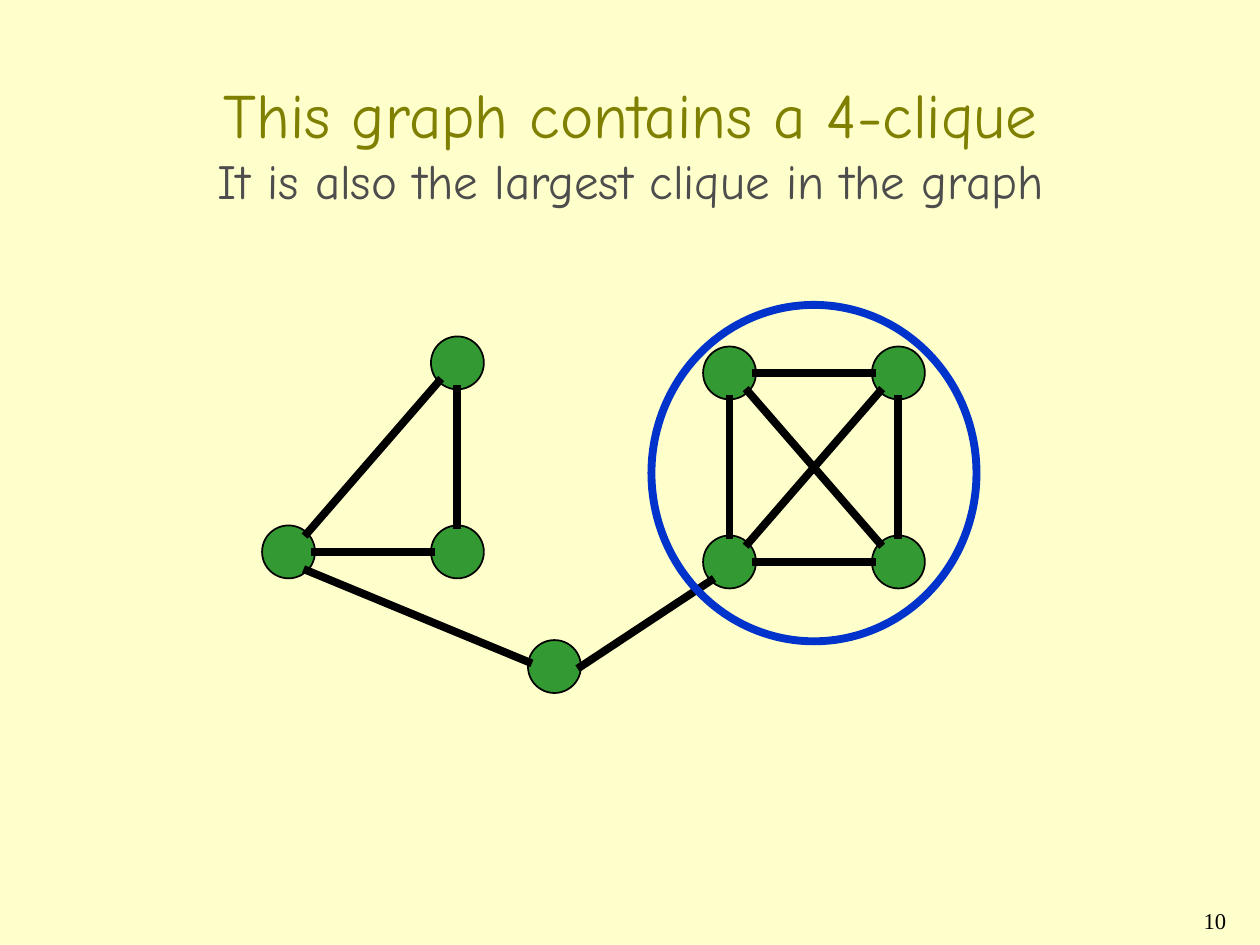
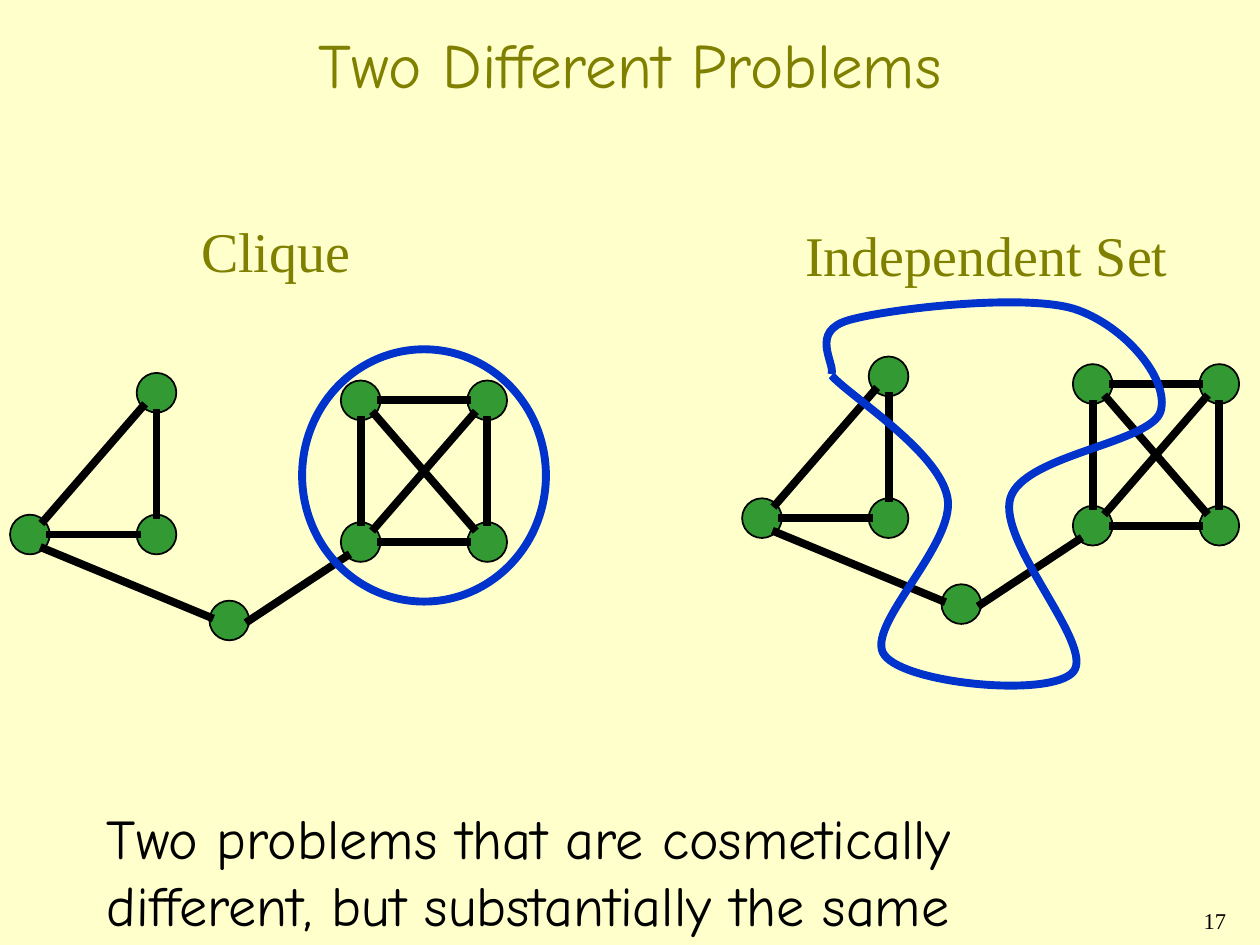
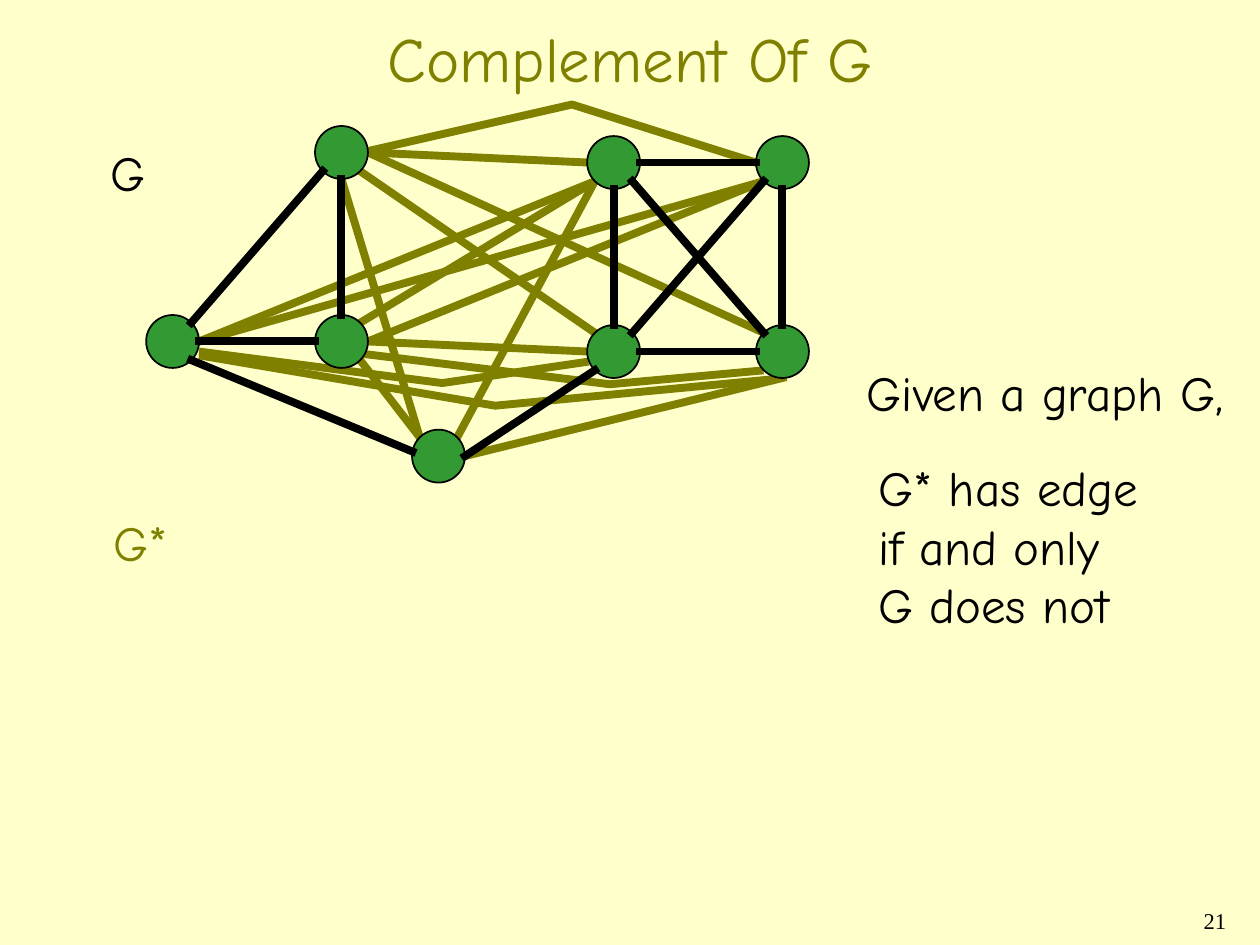
"""Build three slides on cliques, independent sets and graph complements."""
from dataclasses import dataclass
from math import cos, radians, sin
from typing import Any, NamedTuple

from lxml import etree
from pptx import Presentation
from pptx.dml.color import RGBColor
from pptx.enum.shapes import MSO_CONNECTOR, MSO_SHAPE
from pptx.enum.text import MSO_ANCHOR, MSO_AUTO_SIZE, PP_ALIGN
from pptx.oxml.ns import qn
from pptx.util import Inches, Pt

OVAL = MSO_SHAPE.OVAL
STRAIGHT = MSO_CONNECTOR.STRAIGHT
MIDDLE = MSO_ANCHOR.MIDDLE
FIT, FIXED = MSO_AUTO_SIZE.SHAPE_TO_FIT_TEXT, MSO_AUTO_SIZE.NONE
LEFT, CENTER, RIGHT = PP_ALIGN.LEFT, PP_ALIGN.CENTER, PP_ALIGN.RIGHT

COMIC, TIMES = "Comic Neue", "Times New Roman"
CREAM, OLIVE, GRAY = "FFFFCC", "808000", "4D4D4D"
BLACK, GREEN, BLUE = "000000", "339933", "0033CC"
THICK, THIN = 4.5, 1
SIZE = 0.42

Point = tuple[float, float]
Box = tuple[float, float, float, float]


class Span(NamedTuple):
    words: str
    size: float = 28
    color: str = BLACK
    font: str = COMIC


class Edge(NamedTuple):
    start: str
    out: float
    end: str
    into: float


@dataclass(frozen=True)
class Note:
    box: Box
    lines: tuple[tuple[Span, ...], ...]
    align: Any = LEFT
    pad: float = 0.1
    wrap: bool = True
    grow: bool = True
    before: float = 0
    space: float = 1


NODES: dict[str, Point] = {
    "nw": (3.5, 0.08), "sw": (3.5, 1.58), "se": (4.84, 1.58), "ne": (4.84, 0.08),
    "hub": (2.11, 2.41), "west": (0, 1.5), "mid": (1.34, 1.5), "tip": (1.34, 0),
}
EDGES = [
    Edge("nw", 0, "ne", 180), Edge("nw", 90, "sw", 270),
    Edge("ne", 90, "se", 270), Edge("sw", 0, "se", 180),
    Edge("ne", 135, "sw", 315), Edge("nw", 45, "se", 225),
    Edge("hub", 190, "west", 45), Edge("tip", 90, "mid", 270),
    Edge("west", 0, "mid", 180), Edge("tip", 135, "west", 315),
    Edge("hub", 0, "sw", 135),
]
MISSING = [
    Edge("mid", 0, "sw", 180), Edge("tip", 0, "nw", 180),
    Edge("hub", 315, "nw", 135), Edge("mid", 315, "nw", 135),
    Edge("west", 0, "nw", 135), Edge("tip", 45, "sw", 225),
    Edge("tip", 90, "hub", 225), Edge("mid", 0, "ne", 135),
    Edge("mid", 45, "hub", 225), Edge("west", 0, "ne", 135),
    Edge("tip", 0, "se", 225), Edge("hub", 0, "se", 90),
]
BENDS: list[list[Point]] = [
    [(2.92, 1.2), (4.54, 0.83), (6.03, 1.3)],
    [(1.58, 2.79), (3.51, 3.04), (4.67, 2.87)],
    [(1.58, 2.82), (3.93, 3.22), (6.14, 3.01)],
    [(2.89, 2.81), (4.84, 3.05), (6.06, 2.94)],
]
LASSO: list[Point] = [
    (6.6, 2.98),
    (6.75, 3.15), (7.45, 3.58), (7.52, 3.95),
    (7.59, 4.32), (6.85, 4.98), (7.02, 5.2),
    (7.19, 5.43), (8.35, 5.54), (8.52, 5.33),
    (8.69, 5.12), (7.91, 4.3), (8.02, 3.95),
    (8.13, 3.61), (9.12, 3.52), (9.21, 3.27),
    (9.29, 3.02), (8.93, 2.58), (8.52, 2.45),
    (8.11, 2.33), (7.06, 2.45), (6.74, 2.54),
    (6.42, 2.63), (6.63, 2.88), (6.6, 2.97),
]


def paint(part: Any, color: str) -> None:
    part.solid()
    part.fore_color.rgb = RGBColor.from_string(color)


def stroke(shape: Any, color: str, width: float) -> None:
    paint(shape.line.fill, color)
    shape.line.width = Pt(width)


def write(para: Any, spans: tuple[Span, ...]) -> None:
    for span in spans:
        for row, words in enumerate(span.words.split("\n")):
            if row:
                para.add_line_break()
            if words:
                run = para.add_run()
                run.text = words
                run.font.size = Pt(span.size)
                run.font.name = span.font
                run.font.color.rgb = RGBColor.from_string(span.color)


def add_note(shapes: Any, note: Note) -> None:
    frame = shapes.add_textbox(*map(Inches, note.box)).text_frame
    frame.margin_left = frame.margin_right = Inches(note.pad)
    frame.word_wrap = note.wrap
    frame.auto_size = FIT if note.grow else FIXED
    for row, spans in enumerate(note.lines):
        para = frame.add_paragraph() if row else frame.paragraphs[0]
        para.alignment = note.align
        para.space_before = Pt(note.before)
        para.line_spacing = note.space
        write(para, spans)


def add_oval(shapes: Any, box: Box, fill: str | None, line: str, width: float) -> None:
    oval = shapes.add_shape(OVAL, *map(Inches, box))
    oval.shadow.inherit = False
    if fill:
        paint(oval.fill, fill)
    else:
        oval.fill.background()
    stroke(oval, line, width)


def add_path(shapes: Any, points: list[Point], color: str) -> Any:
    spots = [(Inches(x), Inches(y)) for x, y in points]
    pen = shapes.build_freeform(*spots[0])
    pen.add_line_segments(spots[1:], close=False)
    shape = pen.convert_to_shape()
    shape.shadow.inherit = False
    shape.fill.background()
    stroke(shape, color, THICK)
    return shape


def add_curve(shapes: Any, points: list[Point], color: str) -> None:
    shape = add_path(shapes, points, color)
    path = next(shape.element.iter(qn("a:path")))
    legs = path.findall(qn("a:lnTo"))
    for i in range(0, len(legs), 3):
        curve = etree.SubElement(path, qn("a:cubicBezTo"))
        for leg in legs[i:i + 3]:
            curve.append(leg[0])
            path.remove(leg)


@dataclass(frozen=True)
class Graph:
    left: float
    top: float
    scale: float = 1

    def place(self, x: float, y: float, wide: float, high: float) -> Box:
        k = self.scale
        return self.left + k * x, self.top + k * y, k * wide, k * high

    def rim(self, name: str, angle: float) -> Point:
        x, y, size, _ = self.place(*NODES[name], SIZE, SIZE)
        turn = radians(angle)
        return x + size / 2 * (1 + cos(turn)), y + size / 2 * (1 + sin(turn))

    def link(self, shapes: Any, edges: list[Edge], color: str) -> None:
        for edge in edges:
            ends = self.rim(edge.start, edge.out) + self.rim(edge.end, edge.into)
            line = shapes.add_connector(STRAIGHT, *map(Inches, ends))
            stroke(line, color, THICK)
            next(line.element.iter(qn("a:ln"))).set("cap", "sq")
            etree.SubElement(line.element.spPr, qn("a:effectLst"))

    def draw(self, shapes: Any) -> None:
        for x, y in NODES.values():
            add_oval(shapes, self.place(x, y, SIZE, SIZE), GREEN, BLACK, THIN)
        self.link(shapes, EDGES, BLACK)

    def ring(self, shapes: Any) -> None:
        add_oval(shapes, self.place(3.09, -0.25, 2.58, 2.67), None, BLUE, THICK)


def add_slide(deck: Any, number: int, box: Box, *spans: Span) -> Any:
    shapes = deck.slides.add_slide(deck.slide_layouts[5]).shapes
    title = shapes.title
    title.left, title.top, title.width, title.height = map(Inches, box)
    frame = title.text_frame
    frame.auto_size = FIXED
    frame.word_wrap = True
    frame.vertical_anchor = MIDDLE
    frame.paragraphs[0].alignment = CENTER
    write(frame.paragraphs[0], spans)
    label = Span(str(number), 12.9, BLACK, TIMES)
    add_note(shapes, Note((7.75, 7.17, 2.08, 0.33), ((label,),), RIGHT,
                          grow=False, space=0.9))
    return shapes


def add_clique(deck: Any) -> None:
    shapes = add_slide(
        deck, 10, (0.17, 0.17, 9.67, 1.92),
        Span("This graph contains a 4-clique\n", 36, OLIVE),
        Span("It is also the largest clique in the graph", 28, GRAY))
    graph = Graph(2.08, 2.67)
    graph.draw(shapes)
    graph.ring(shapes)


def add_pair(deck: Any) -> None:
    shapes = add_slide(deck, 17, (0.75, -0.12, 8.5, 1.25),
                       Span("Two Different Problems", 36, OLIVE))
    group = shapes.add_group_shape().shapes
    Graph(5.89, 2.83, 0.75).draw(group)
    add_curve(group, LASSO, BLUE)
    group = shapes.add_group_shape().shapes
    graph = Graph(0.08, 2.96, 0.75)
    graph.draw(group)
    graph.ring(group)
    for words, box in (("Independent Set", (6.26, 1.7, 3.14, 0.64)),
                       ("Clique", (1.46, 1.67, 1.46, 0.64))):
        head = Span(words, 32, OLIVE, TIMES)
        add_note(shapes, Note(box, ((head,),), CENTER, wrap=False))
    moral = Span("Two problems that are cosmetically different, "
                 "but substantially the same", 32)
    add_note(shapes, Note((0.75, 6.33, 8.5, 4.5), ((moral,),), grow=False, before=8))


def add_dual(deck: Any) -> None:
    shapes = add_slide(deck, 21, (0.75, -0.17, 8.5, 1.25),
                       Span("Complement Of G", 36, OLIVE))
    graph = Graph(1.16, 1)
    group = shapes.add_group_shape().shapes
    graph.link(group, MISSING, OLIVE)
    for bend in BENDS:
        add_path(group, bend, OLIVE)
    graph.draw(shapes.add_group_shape().shapes)
    notes = [
        Note((0.6, 4.02, 1.12, 0.57), ((Span("G*", color=OLIVE),),),
             pad=0.3, wrap=False),
        Note((0.58, 1.08, 0.94, 0.57), ((Span("G"),),), pad=0.3, wrap=False),
        Note((6.58, 2.83, 3.75, 0.57), ((Span("Given a graph G,"),),), pad=0.3),
        Note((6.67, 3.58, 3.33, 1.5),
             ((Span("G* has edge\nif and only"),), (Span("G does not"),)), pad=0.3),
    ]
    for note in notes:
        add_note(shapes, note)


def main() -> None:
    deck = Presentation()
    deck.slide_width, deck.slide_height = Inches(10), Inches(7.5)
    paint(deck.slide_master.background.fill, CREAM)
    add_clique(deck)
    add_pair(deck)
    add_dual(deck)
    deck.save("out.pptx")


if __name__ == "__main__":
    main()
